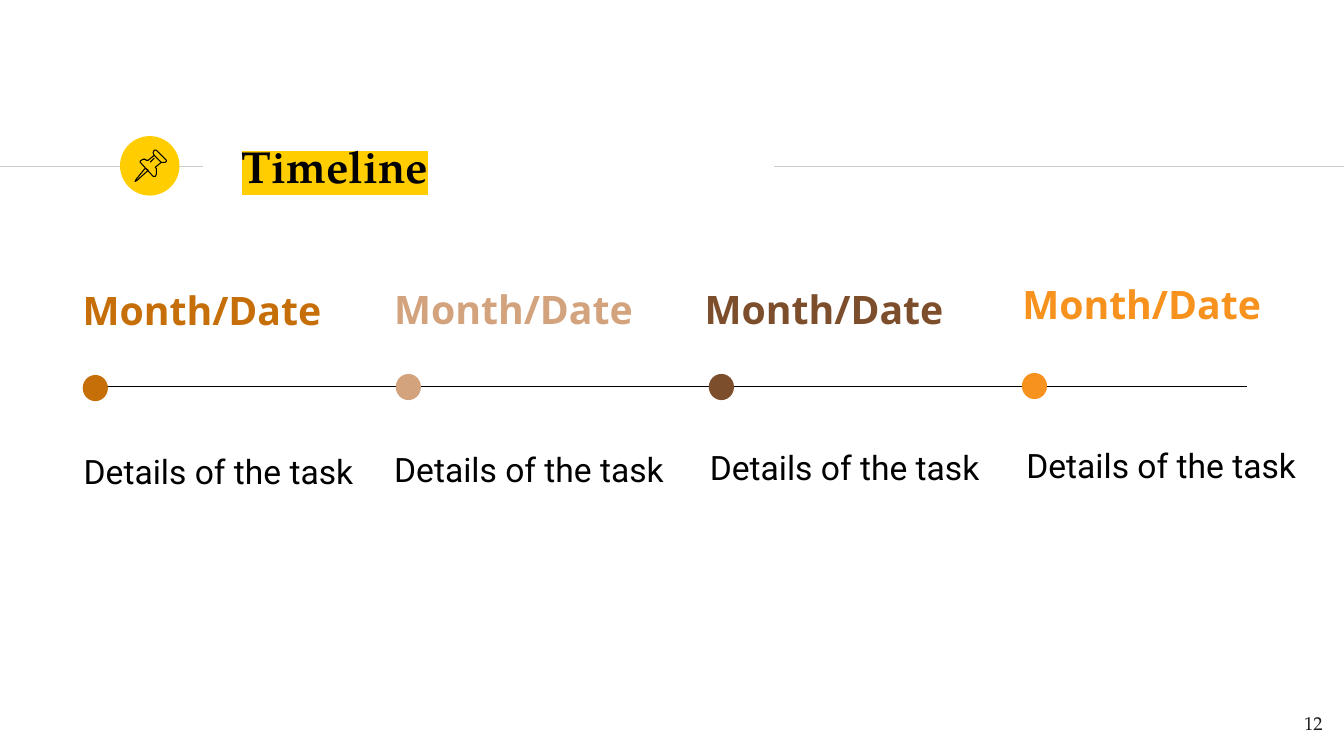
from dataclasses import dataclass

from lxml import etree
from pptx import Presentation, util as u
from pptx.dml.color import RGBColor
from pptx.enum import shapes, text
from pptx.oxml import ns

Point = tuple[float, float]

SERIF = "TeX Gyre Pagella"
BLACK = "000000"
YELLOW = "FFCD00"
RULE_GREY = "CCCCCC"
RULE_TOP = 1.65
TIMELINE_TOP = 3.83
DOT_LEFT = 0.82
DOT_PITCH = 3.105


@dataclass(frozen=True)
class Milestone:
    color: str
    month_at: Point
    dot_top: float
    details_at: Point


@dataclass(frozen=True)
class Stroke:
    points: list[Point]
    closed: bool = True


@dataclass(frozen=True)
class Style:
    size: float
    font: str
    color: str = BLACK
    bold: bool = False
    spacing: float = 1.0
    inset: float = 0
    align: text.PP_ALIGN = text.PP_ALIGN.LEFT
    anchor: text.MSO_ANCHOR = text.MSO_ANCHOR.TOP


MILESTONES = [
    Milestone("C66E07", (0.82, 2.75), 3.72, (0.83, 4.41)),
    Milestone("D3A37E", (3.91, 2.74), 3.71, (3.91, 4.39)),
    Milestone("7D4E2B", (6.99, 2.74), 3.71, (7.04, 4.37)),
    Milestone("F6921D", (10.14, 2.69), 3.70, (10.18, 4.35)),
]

PIN = [
    # needle
    Stroke([(1.44, 1.67), (1.35, 1.78), (1.34, 1.80), (1.36, 1.79), (1.47, 1.69)]),
    # cap
    Stroke([(1.53, 1.54), (1.60, 1.61), (1.62, 1.61), (1.64, 1.61), (1.65, 1.60),
            (1.65, 1.59), (1.55, 1.49), (1.54, 1.49), (1.53, 1.49), (1.52, 1.51),
            (1.52, 1.52)]),
    # body
    Stroke([(1.53, 1.54), (1.47, 1.59), (1.45, 1.59), (1.44, 1.58), (1.42, 1.58),
            (1.40, 1.59), (1.39, 1.60), (1.39, 1.61), (1.52, 1.75), (1.53, 1.75),
            (1.54, 1.75), (1.55, 1.73), (1.55, 1.67), (1.54, 1.66), (1.60, 1.61)],
           closed=False),
    # highlight
    Stroke([(1.49, 1.61), (1.53, 1.57)], closed=False),
]


def rgb(value: str) -> RGBColor:
    return RGBColor.from_string(value)


def add_rule(slide, left: float, right: float, top: float, color: str) -> None:
    line = slide.shapes.add_connector(
        shapes.MSO_CONNECTOR.STRAIGHT,
        u.Inches(left), u.Inches(top), u.Inches(right), u.Inches(top))
    line.line.color.rgb = rgb(color)
    line.line.width = u.Pt(0.75)
    etree.SubElement(line._element.spPr, ns.qn("a:effectLst"))


def add_disc(slide, left: float, top: float, width: float, height: float,
             color: str) -> None:
    disc = slide.shapes.add_shape(
        shapes.MSO_SHAPE.OVAL,
        u.Inches(left), u.Inches(top), u.Inches(width), u.Inches(height))
    disc.shadow.inherit = False
    disc.fill.solid()
    disc.fill.fore_color.rgb = rgb(color)
    disc.line.fill.background()


def add_stroke(slide, stroke: Stroke) -> None:
    start, *others = [(u.Inches(x), u.Inches(y)) for x, y in stroke.points]
    builder = slide.shapes.build_freeform(*start)
    builder.add_line_segments(others, close=stroke.closed)
    shape = builder.convert_to_shape()
    shape.shadow.inherit = False
    shape.fill.background()
    shape.line.color.rgb = rgb(BLACK)
    shape.line.width = u.Pt(0.75)


def add_text(slide, wording: str, at: Point, width: float, height: float,
             style: Style):
    """Add a one-paragraph text box and return its run."""
    box = slide.shapes.add_textbox(
        u.Inches(at[0]), u.Inches(at[1]), u.Inches(width), u.Inches(height))
    frame = box.text_frame
    frame.word_wrap = True
    frame.vertical_anchor = style.anchor
    frame.margin_left = frame.margin_right = u.Inches(style.inset)
    frame.margin_top = frame.margin_bottom = u.Inches(style.inset)
    frame.text = wording
    paragraph = frame.paragraphs[0]
    paragraph.alignment = style.align
    paragraph.line_spacing = style.spacing
    run = paragraph.runs[0]
    run.font.size = u.Pt(style.size)
    run.font.name = style.font
    run.font.bold = style.bold
    run.font.color.rgb = rgb(style.color)
    return run


def highlight(run, color: str) -> None:
    mark = etree.Element(ns.qn("a:highlight"))
    etree.SubElement(mark, ns.qn("a:srgbClr"), val=color)
    run.font._element.find(ns.qn("a:solidFill")).addnext(mark)


def add_header(slide) -> None:
    add_rule(slide, 0, 2.01, RULE_TOP, RULE_GREY)
    add_disc(slide, 1.19, 1.35, 0.59, 0.59, YELLOW)
    add_rule(slide, 7.68, 13.33, RULE_TOP, RULE_GREY)
    title_style = Style(32, SERIF, bold=True, inset=0.13,
                        anchor=text.MSO_ANCHOR.MIDDLE)
    title = add_text(slide, "Timeline", (2.27, 1.32), 8.38, 0.64, title_style)
    highlight(title, YELLOW)
    for stroke in PIN:
        add_stroke(slide, stroke)


def add_timeline(slide) -> None:
    add_rule(slide, 0.83, 12.37, TIMELINE_TOP, BLACK)
    details_style = Style(24, "Roboto", spacing=1.17)
    for index, milestone in enumerate(MILESTONES):
        month_style = Style(28, "Noto Sans", milestone.color, bold=True, spacing=1.2)
        add_text(slide, "Month/Date", milestone.month_at, 2.44, 0.46, month_style)
        add_disc(slide, DOT_LEFT + index * DOT_PITCH, milestone.dot_top, 0.25, 0.26,
                 milestone.color)
        add_text(slide, "Details of the task", milestone.details_at, 2.7, 0.39,
                 details_style)


def main() -> None:
    presentation = Presentation()
    presentation.slide_width = u.Inches(13.33)
    presentation.slide_height = u.Inches(7.5)
    slide = presentation.slides.add_slide(presentation.slide_layouts[6])
    add_header(slide)
    number_style = Style(13.3, SERIF, "1D1D1B", inset=0.13,
                         align=text.PP_ALIGN.RIGHT)
    add_text(slide, "12", (12.45, 6.95), 0.8, 0.57, number_style)
    add_timeline(slide)
    presentation.save("out.pptx")


if __name__ == "__main__":
    main()
